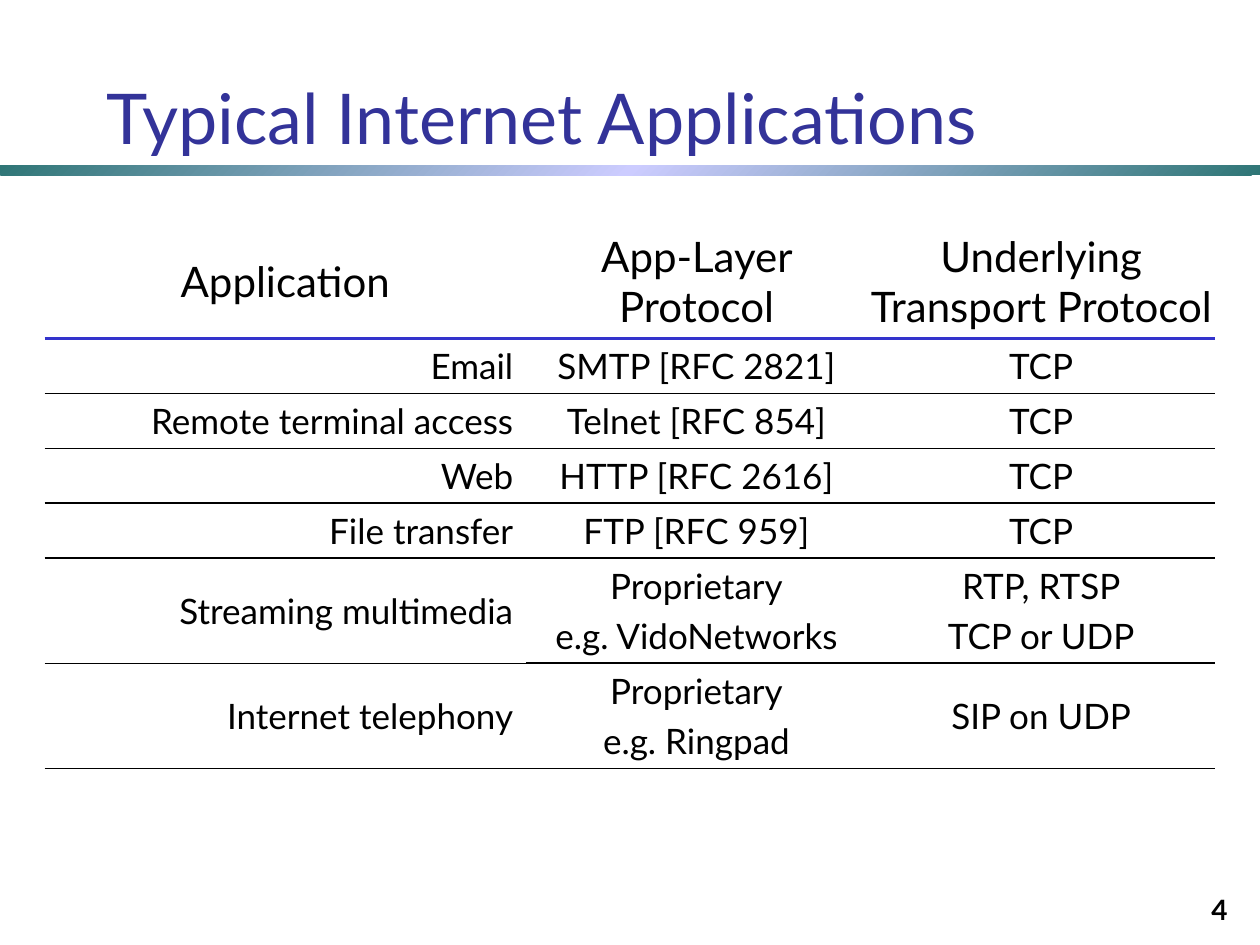
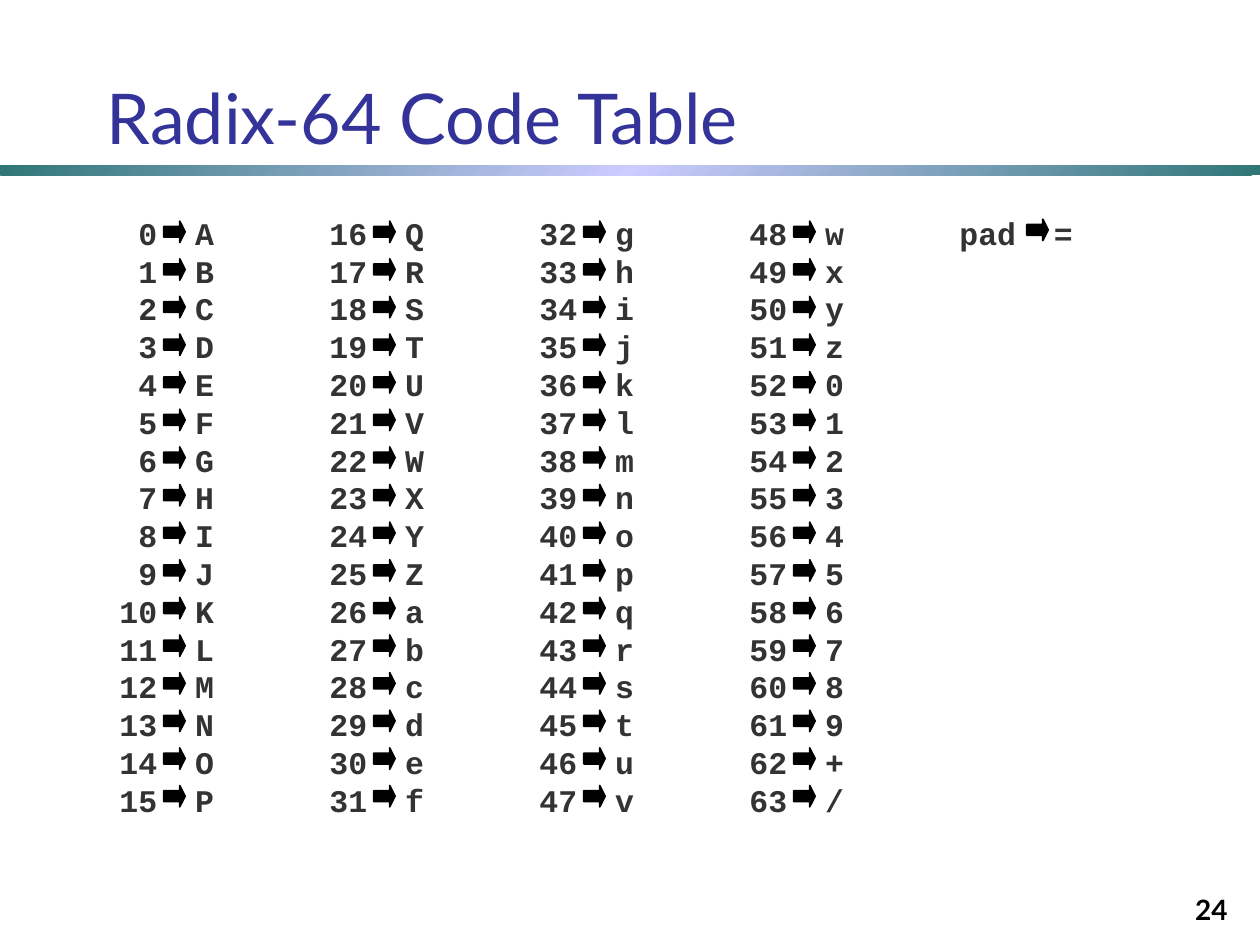
from copy import deepcopy

from lxml.etree import SubElement as Sub
from pptx import Presentation
from pptx.dml.color import RGBColor
from pptx.enum.shapes import MSO_SHAPE as Form
from pptx.enum.text import MSO_ANCHOR as Anchor, PP_ALIGN as Align
from pptx.oxml.ns import qn
from pptx.util import Pt

BLACK, GRAY, NAVY, BLUE = "000000", "333333", "333399", "3333CC"
TEAL, LILAC = "2F7676", "CCCCFF"
SANS, MONO = "Lato", "Courier New"
CODES = "ABCDEFGHIJKLMNOPQRSTUVWXYZabcdefghijklmnopqrstuvwxyz0123456789+/"
ROWS = [
    ("Application", "App-Layer Protocol", "Underlying Transport Protocol"),
    ("Email", "SMTP [RFC 2821]", "TCP"),
    ("Remote terminal access", "Telnet [RFC 854]", "TCP"),
    ("Web", "HTTP [RFC 2616]", "TCP"),
    ("File transfer", "FTP [RFC 959]", "TCP"),
    ("Streaming multimedia", "Proprietary\ne.g. VidoNetworks", "RTP, RTSP\nTCP or UDP"),
    ("Internet telephony", "Proprietary\ne.g. Ringpad", "SIP on UDP"),
]
WIDTHS = (275, 195, 199)
HEIGHTS = (65.2, 31.4, 31.4, 31.4, 31.4, 59.8, 59.8)


def color(code):
    """Turn a hex string into a colour."""
    return RGBColor.from_string(code)


def write(para, text, size, hue, face=SANS, bold=False):
    """Add one styled run to a paragraph."""
    run = para.add_run()
    run.text = text
    font = run.font
    font.size, font.name, font.bold = Pt(size), face, bold
    font.color.rgb = color(hue)


def text_box(slide, left, top, width, height, anchor=Anchor.TOP):
    """Add an empty wrapping text box and return its frame."""
    box = slide.shapes.add_textbox(Pt(left), Pt(top), Pt(width), Pt(height))
    frame = box.text_frame
    frame.word_wrap, frame.vertical_anchor = True, anchor
    return frame


def add_band(slide):
    """Draw the gradient band below the title."""
    band = slide.shapes.add_shape(Form.RECTANGLE, 0, Pt(94.3), Pt(720), Pt(5.8))
    band.shadow.inherit = False
    band.line.fill.background()
    band.fill.gradient()
    band.fill.gradient_angle = 315
    stops = band.element.spPr.find(".//" + qn("a:gsLst"))
    stops.append(deepcopy(stops[-1]))
    for stop, place, hue in zip(band.fill.gradient_stops, (0, 0.5, 1), (TEAL, LILAC, TEAL)):
        stop.position, stop.color.rgb = place, color(hue)


def add_page(deck, title, number):
    """Add a slide with its band, number and title."""
    slide = deck.slides.add_slide(deck.slide_layouts[6])
    add_band(slide)
    foot = text_box(slide, 558.7, 496.8, 149.8, 36, Anchor.BOTTOM).paragraphs[0]
    foot.alignment = Align.RIGHT
    write(foot, str(number), 16, BLACK, bold=True)
    head = text_box(slide, 54, 25.9, 666, 68.4, Anchor.BOTTOM).paragraphs[0]
    write(head, title, 40, NAVY)
    return slide


def add_edge(cell, side, width=0, hue=None):
    """Set one border of a cell, or clear it when no colour is given."""
    edge = Sub(cell._tc.get_or_add_tcPr(), qn("a:ln" + side), w=str(Pt(width)))
    if hue:
        Sub(Sub(edge, qn("a:solidFill")), qn("a:srgbClr"), val=hue)
    else:
        Sub(edge, qn("a:noFill"))


def rule_below(row, col):
    """Give width and colour of the rule below a cell."""
    if row < 0:
        return 0, None
    if row == 0:
        return 2.25, BLUE
    thin = row == 6 or (row, col) == (5, 0)
    return (0.75 if thin else 1), BLACK


def fill_cell(cell, row, col):
    """Write the text of a cell and set its look."""
    head = row == 0
    add_edge(cell, "L")
    add_edge(cell, "R")
    add_edge(cell, "T", *rule_below(row - 1, col))
    add_edge(cell, "B", *rule_below(row, col))
    cell.fill.background()
    cell.vertical_anchor = Anchor.MIDDLE
    cell.margin_left = cell.margin_right = Pt(1.4 if head else 7.2)
    frame = cell.text_frame
    for i, line in enumerate(ROWS[row][col].split("\n")):
        para = frame.add_paragraph() if i else frame.paragraphs[0]
        para.alignment = Align.CENTER if head or col else Align.RIGHT
        if i:
            para.space_before = Pt(4.8)
        write(para, line, 24 if head else 20, BLACK)


def add_apps(slide):
    """Add the table of applications and protocols."""
    table = slide.shapes.add_table(
        len(ROWS), len(WIDTHS), Pt(25.5), Pt(128.2), Pt(sum(WIDTHS)), Pt(sum(HEIGHTS))
    ).table
    table.first_row = table.horz_banding = False
    for col, width in enumerate(WIDTHS):
        table.columns[col].width = Pt(width)
    for row, height in enumerate(HEIGHTS):
        table.rows[row].height = Pt(height)
        for col in range(len(WIDTHS)):
            fill_cell(table.cell(row, col), row, col)


def add_codes(slide, left, width, lines, tabs):
    """Add a column of code lines set on tab stops."""
    frame = text_box(slide, left, 116.6, width, 21.6 * len(lines) + 7.2)
    frame.margin_top, frame.margin_bottom = Pt(5.6), Pt(1.6)
    for i, line in enumerate(lines):
        para = frame.add_paragraph() if i else frame.paragraphs[0]
        para.line_spacing = Pt(21.6)
        stops = Sub(para._p.get_or_add_pPr(), qn("a:tabLst"))
        for place, side in tabs:
            Sub(stops, qn("a:tab"), pos=str(Pt(place)), algn=side)
        write(para, line, 18, GRAY, MONO, True)


def add_arrow(slide, left, top):
    """Draw one small black block arrow."""
    arrow = slide.shapes.add_shape(Form.RIGHT_ARROW, Pt(left), Pt(top), Pt(12.2), Pt(12.2))
    arrow.shadow.inherit = False
    arrow.adjustments[0], arrow.adjustments[1] = 0.5, 0.25
    arrow.fill.solid()
    arrow.fill.fore_color.rgb = arrow.line.color.rgb = color(BLACK)
    arrow.line.width = Pt(1)


def add_radix(slide):
    """Add four columns of sixteen codes and the pad sign."""
    for col in range(4):
        left, first = 61.2 + 120 * col, 16 * col
        lines = [f"\t{n}\t{CODES[n]}" for n in range(first, first + 16)]
        add_codes(slide, left, 84.2, lines, [(21.6, "r"), (43.2, "l")])
        for row in range(16):
            add_arrow(slide, left + 32.4, 126.4 + 21.5 * row)
    add_codes(slide, 541.2, 108, ["pad\t="], [(54, "l")])
    add_arrow(slide, 586.8, 125.3)


def main():
    """Build both slides and save them."""
    deck = Presentation()
    deck.slide_width, deck.slide_height = Pt(720), Pt(540)
    add_apps(add_page(deck, "Typical Internet Applications", 4))
    add_radix(add_page(deck, "Radix-64 Code Table", 24))
    deck.save("out.pptx")


if __name__ == "__main__":
    main()
